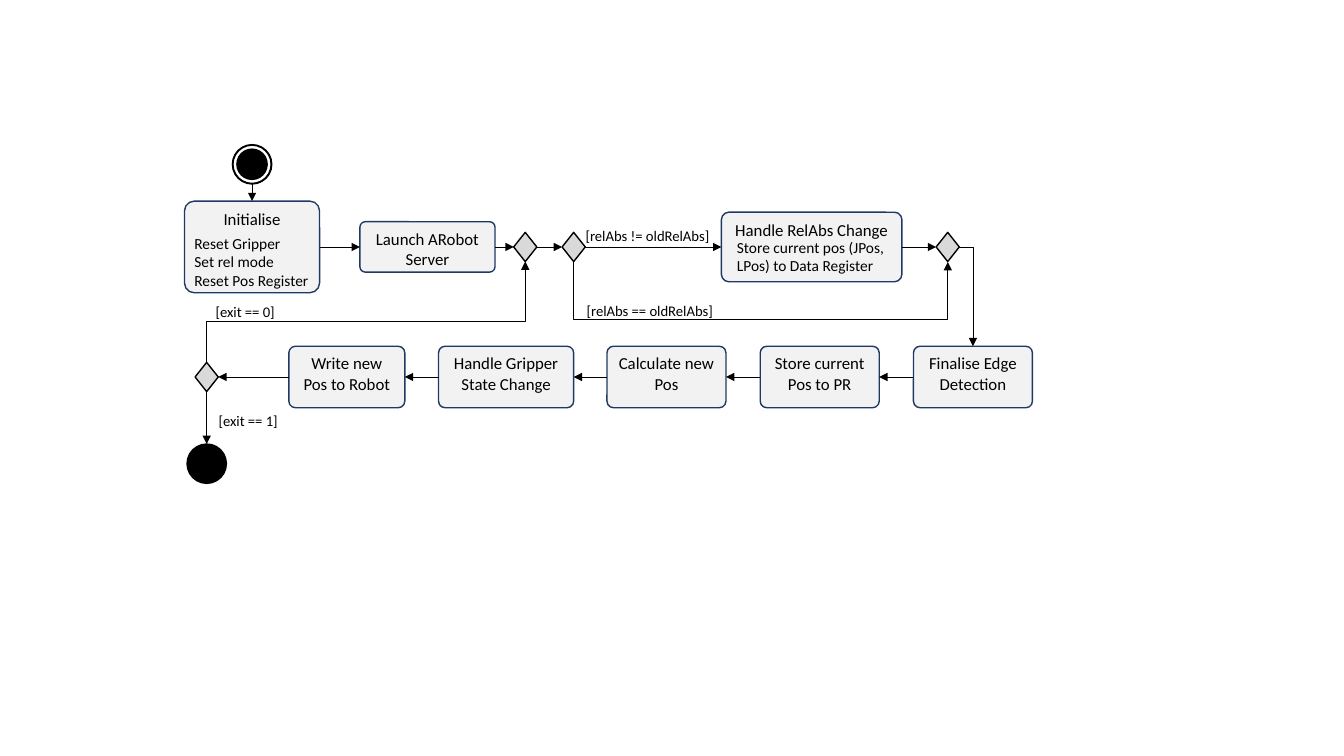
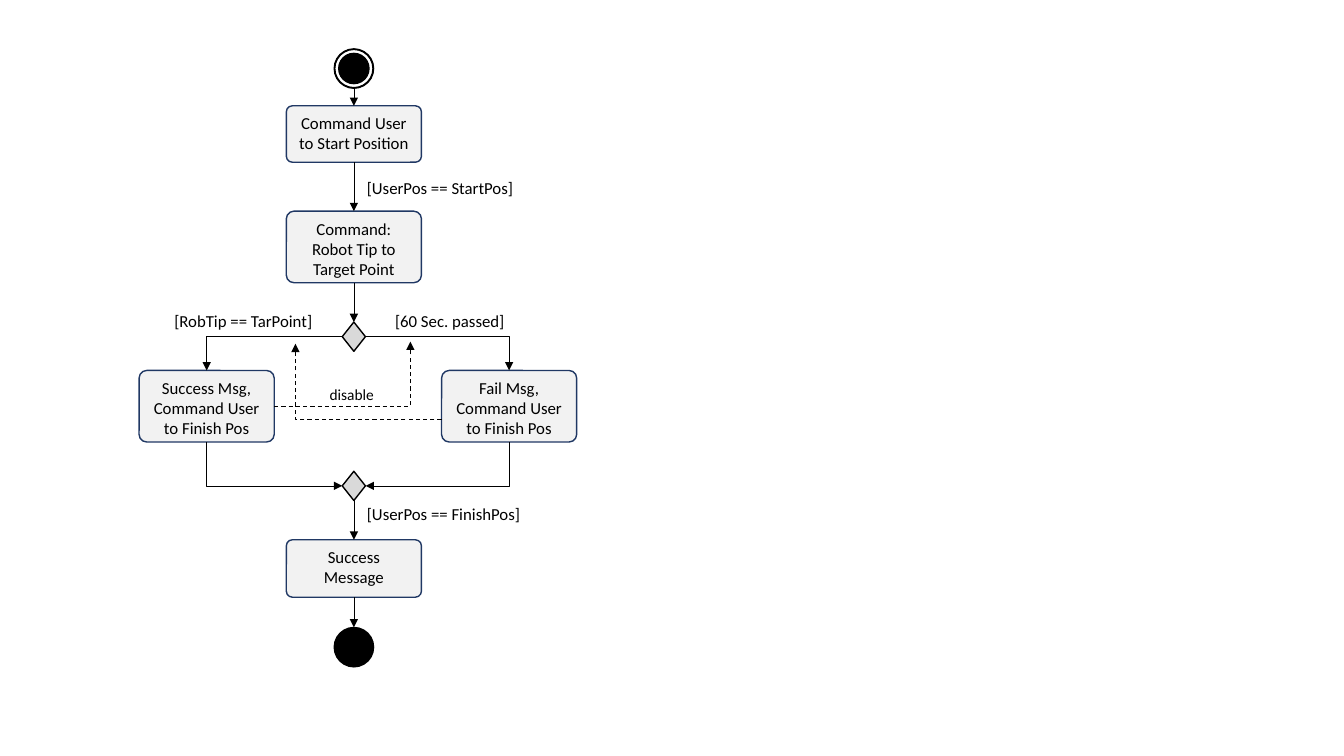
import pptx
import pptx.dml.color
import pptx.enum.dml
import pptx.enum.shapes
import pptx.enum.text
import pptx.oxml
import pptx.oxml.ns
import pptx.util

Inches, Pt = pptx.util.Inches, pptx.util.Pt
SHAPES = pptx.enum.shapes.MSO_SHAPE
CONNECTORS = pptx.enum.shapes.MSO_CONNECTOR
ALIGN = pptx.enum.text.PP_ALIGN
qn = pptx.oxml.ns.qn

FONT = "Calibri"
COLORS = {"ink": "000000", "box": "F2F2F2", "border": "203864", "diamond": "D9D9D9"}
DIAMOND = (0.23, 0.29)
CIRCLE, DOT = 0.39, 0.3
# side: connection site, horizontal and vertical direction from the centre
SIDES = {"top": (0, 0, -1), "left": (1, -1, 0), "bottom": (2, 0, 1), "right": (3, 1, 0)}

UPPER, LOWER = 2.45, 3.74   # centre lines of the rows in the robot loop
AXIS, FORK = 3.51, 4.03     # centre lines of the user test

# Boxes: name: (text, centre x, centre y, width, height)
# Diamonds, starts and ends: name: (centre x, centre y)
# Details and labels: (lines, left, top, width, height, size)
# Flows: (from, to, bend); an end is (node, side) or a point (x, y);
# a bend is its first direction and the place of the middle leg, None for one corner
ROBOT_LOOP = {
    "boxes": {
        "initialise": ("Initialise", 2.5, UPPER, 1.34, 0.91),
        "launch": ("Launch ARobot Server", 4.24, UPPER, 1.34, 0.5),
        "change": ("Handle RelAbs Change", 8.05, UPPER, 1.79, 0.69),
        "finalise": ("Finalise Edge Detection", 9.65, LOWER, 1.18, 0.61),
        "store": ("Store current Pos to PR", 8.13, LOWER, 1.18, 0.61),
        "calculate": ("Calculate new Pos", 6.61, LOWER, 1.18, 0.61),
        "gripper": ("Handle Gripper State Change", 5.02, LOWER, 1.34, 0.61),
        "write": ("Write new Pos to Robot", 3.44, LOWER, 1.15, 0.61),
    },
    "diamonds": {
        "loop": (5.21, UPPER),
        "mode": (5.69, UPPER),
        "merge": (9.4, UPPER),
        "exit": (2.05, LOWER),
    },
    "start": (2.5, 1.63),
    "end": (2.05, 4.6),
    "details": [
        (["Reset Gripper", "Set rel mode", "Reset Pos Register"], 1.83, 2.27, 1.34, 0.66, 11),
        (["Store current pos (JPos, LPos) to Data Register"], 7.21, 2.31, 1.79, 0.47, 11),
    ],
    "labels": [
        (["[relAbs != oldRelAbs]"], 5.71, 2.2, 1.51, 0.29, 10.5),
        (["[relAbs == oldRelAbs]"], 5.72, 2.94, 1.48, 0.28, 10.5),
        (["[exit == 0]"], 2.04, 2.96, 0.8, 0.28, 10.5),
        (["[exit == 1]"], 2.07, 4.04, 0.8, 0.28, 10.5),
    ],
    "chains": [
        ("right", "left", ["initialise", "launch", "loop", "mode", "change", "merge"]),
        ("left", "right", ["finalise", "store", "calculate", "gripper", "write", "exit"]),
        ("bottom", "top", ["start", "initialise"]),
        ("bottom", "top", ["exit", "end"]),
    ],
    "bends": [
        (("mode", "bottom"), ("merge", "bottom"), ("V", 3.18)),
        (("merge", "right"), ("finalise", "top"), ("H", None)),
        (("exit", "top"), ("loop", "bottom"), ("V", 3.19)),
    ],
    "dashed": [],
}

USER_TEST = {
    "boxes": {
        "begin": ("Command User to Start Position", AXIS, 1.33, 1.34, 0.56),
        "target": ("Command: Robot Tip to Target Point", AXIS, 2.45, 1.34, 0.71),
        "fail": ("Fail Msg, Command User to Finish Pos", 5.05, FORK, 1.34, 0.71),
        "success": ("Success Msg, Command User to Finish Pos", 2.05, FORK, 1.34, 0.71),
        "message": ("Success Message", AXIS, 5.64, 1.34, 0.57),
    },
    "diamonds": {"outcome": (AXIS, 3.34), "merge": (AXIS, 4.82)},
    "start": (AXIS, 0.68),
    "end": (AXIS, 6.42),
    "details": [],
    "labels": [
        (["[UserPos == StartPos]"], 3.54, 1.71, 1.67, 0.3, 12),
        (["[60 Sec. passed]"], 3.82, 3.03, 1.3, 0.3, 12),
        (["[RobTip == TarPoint]"], 1.63, 3.03, 1.58, 0.3, 12),
        (["[UserPos == FinishPos]"], 3.54, 4.95, 1.79, 0.3, 12),
        (["disable"], 3.17, 3.77, 0.64, 0.29, 11),
    ],
    "chains": [
        ("bottom", "top", ["start", "begin", "target", "outcome"]),
        ("bottom", "top", ["merge", "message", "end"]),
    ],
    "bends": [
        (("outcome", "right"), ("fail", "top"), ("H", None)),
        (("outcome", "left"), ("success", "top"), ("H", None)),
        (("success", "bottom"), ("merge", "left"), ("V", None)),
        (("fail", "bottom"), ("merge", "right"), ("V", None)),
    ],
    "dashed": [
        ((4.38, 4.16), (2.93, 3.41), ("H", 2.93)),
        ((2.72, 4.03), (4.07, 3.39), ("H", 4.07)),
    ],
}


def rgb(name):
    return pptx.dml.color.RGBColor.from_string(COLORS[name])


def write(frame, lines, size, align):
    for i, line in enumerate(lines):
        paragraph = frame.paragraphs[0] if i == 0 else frame.add_paragraph()
        paragraph.text = line
        paragraph.alignment = align
        paragraph.font.name = FONT
        paragraph.font.size = Pt(size)
        paragraph.font.color.rgb = rgb("ink")


def add_node(slide, kind, x, y, width, height, fill, border="ink"):
    """Add a shape centred on x, y."""
    node = slide.shapes.add_shape(kind, Inches(x - width / 2), Inches(y - height / 2),
                                  Inches(width), Inches(height))
    node.shadow.inherit = False
    node.fill.solid()
    node.fill.fore_color.rgb = rgb(fill)
    node.line.color.rgb = rgb(border)
    node.line.width = Pt(1)
    return node


def add_box(slide, text, x, y, width, height):
    box = add_node(slide, SHAPES.ROUNDED_RECTANGLE, x, y, width, height, "box", "border")
    box.adjustments[0] = 0.107
    box.text_frame.word_wrap = True
    box.text_frame.vertical_anchor = pptx.enum.text.MSO_ANCHOR.TOP
    write(box.text_frame, [text], 12, ALIGN.CENTER)
    return box


def add_text(slide, lines, left, top, width, height, size, wrap):
    frame = slide.shapes.add_textbox(*map(Inches, (left, top, width, height))).text_frame
    frame.word_wrap = wrap
    frame.auto_size = pptx.enum.text.MSO_AUTO_SIZE.SHAPE_TO_FIT_TEXT
    write(frame, lines, size, ALIGN.LEFT)


def bend_connector(connector, begin, finish, bend):
    """Turn and mirror an elbow so that it leaves begin in the bend's direction."""
    first, middle = bend
    (x0, y0), (x1, y1) = begin, finish
    right, down = x1 >= x0, y1 >= y0
    across, along = abs(x1 - x0), abs(y1 - y0)
    if first == "H":
        turn, flip_h, flip_v = (0 if right else 180), False, right != down
        width, height, origin, forward = across, along, x0, right
    else:
        turn, flip_h, flip_v = (270 if right == down else 90), right, not down
        width, height, origin, forward = along, across, y0, down
    width = max(width, 0.01)
    connector.left = Inches((x0 + x1 - width) / 2)
    connector.top = Inches((y0 + y1 - height) / 2)
    connector.width, connector.height = Inches(width), Inches(height)

    properties = connector._element.spPr
    frame = properties.find(qn("a:xfrm"))
    frame.set("rot", str(turn * 60000))
    frame.set("flipH", str(int(flip_h)))
    frame.set("flipV", str(int(flip_v)))
    geometry = properties.find(qn("a:prstGeom"))
    if middle is None:
        geometry.set("prst", "bentConnector2")
    else:
        share = (middle - origin) / width * (1 if forward else -1)
        guide = pptx.oxml.parse_xml(
            f'<a:gd {pptx.oxml.ns.nsdecls("a")} name="adj1" fmla="val {round(share * 100000)}"/>')
        geometry.find(qn("a:avLst")).append(guide)


def add_flow(slide, nodes, start, end, bend=None, dashed=False):
    """Add an arrow, glued to nodes where its ends name them."""
    points = []
    for place in (start, end):
        if place[0] in nodes:
            x, y, width, height = nodes[place[0]][1]
            _, dx, dy = SIDES[place[1]]
            place = (x + dx * width / 2, y + dy * height / 2)
        points.append(place)
    connector = slide.shapes.add_connector(
        CONNECTORS.ELBOW if bend else CONNECTORS.STRAIGHT,
        *(Inches(value) for point in points for value in point))
    for place, glue in ((start, connector.begin_connect), (end, connector.end_connect)):
        if place[0] in nodes and place[0] != "start":
            glue(nodes[place[0]][0], SIDES[place[1]][0])
    if bend:
        bend_connector(connector, *points, bend)

    connector.line.color.rgb = rgb("ink")
    connector.line.width = Pt(0.75 if dashed else 0.5)
    if dashed:
        connector.line.dash_style = pptx.enum.dml.MSO_LINE.DASH
    outline = connector.line._get_or_add_ln()
    outline.append(pptx.oxml.parse_xml(
        f'<a:tailEnd {pptx.oxml.ns.nsdecls("a")} type="triangle"/>'))
    connector._element.spPr.append(pptx.oxml.parse_xml(
        f'<a:effectLst {pptx.oxml.ns.nsdecls("a")}/>'))


def add_diagram(slide, diagram):
    nodes = {}
    for name, (text, *area) in diagram["boxes"].items():
        nodes[name] = add_box(slide, text, *area), area
    for name, centre in diagram["diamonds"].items():
        area = (*centre, *DIAMOND)
        nodes[name] = add_node(slide, SHAPES.FLOWCHART_DECISION, *area, "diamond"), area
    for name, kind in (("start", SHAPES.DONUT), ("end", SHAPES.OVAL)):
        area = (*diagram[name], CIRCLE, CIRCLE)
        nodes[name] = add_node(slide, kind, *area, "ink"), area
    nodes["start"][0].adjustments[0] = 0.013
    add_node(slide, SHAPES.OVAL, *diagram["start"], DOT, DOT, "ink")

    for kind, wrap in (("details", True), ("labels", False)):
        for entry in diagram[kind]:
            add_text(slide, *entry, wrap)

    for leave, enter, chain in diagram["chains"]:
        for source, target in zip(chain, chain[1:]):
            add_flow(slide, nodes, (source, leave), (target, enter))
    for flow in diagram["bends"]:
        add_flow(slide, nodes, *flow)
    for flow in diagram["dashed"]:
        add_flow(slide, nodes, *flow, dashed=True)


def main():
    deck = pptx.Presentation()
    deck.slide_width, deck.slide_height = Inches(13.33), Inches(7.5)
    for diagram in (ROBOT_LOOP, USER_TEST):
        add_diagram(deck.slides.add_slide(deck.slide_layouts[6]), diagram)
    deck.save("out.pptx")


if __name__ == "__main__":
    main()
